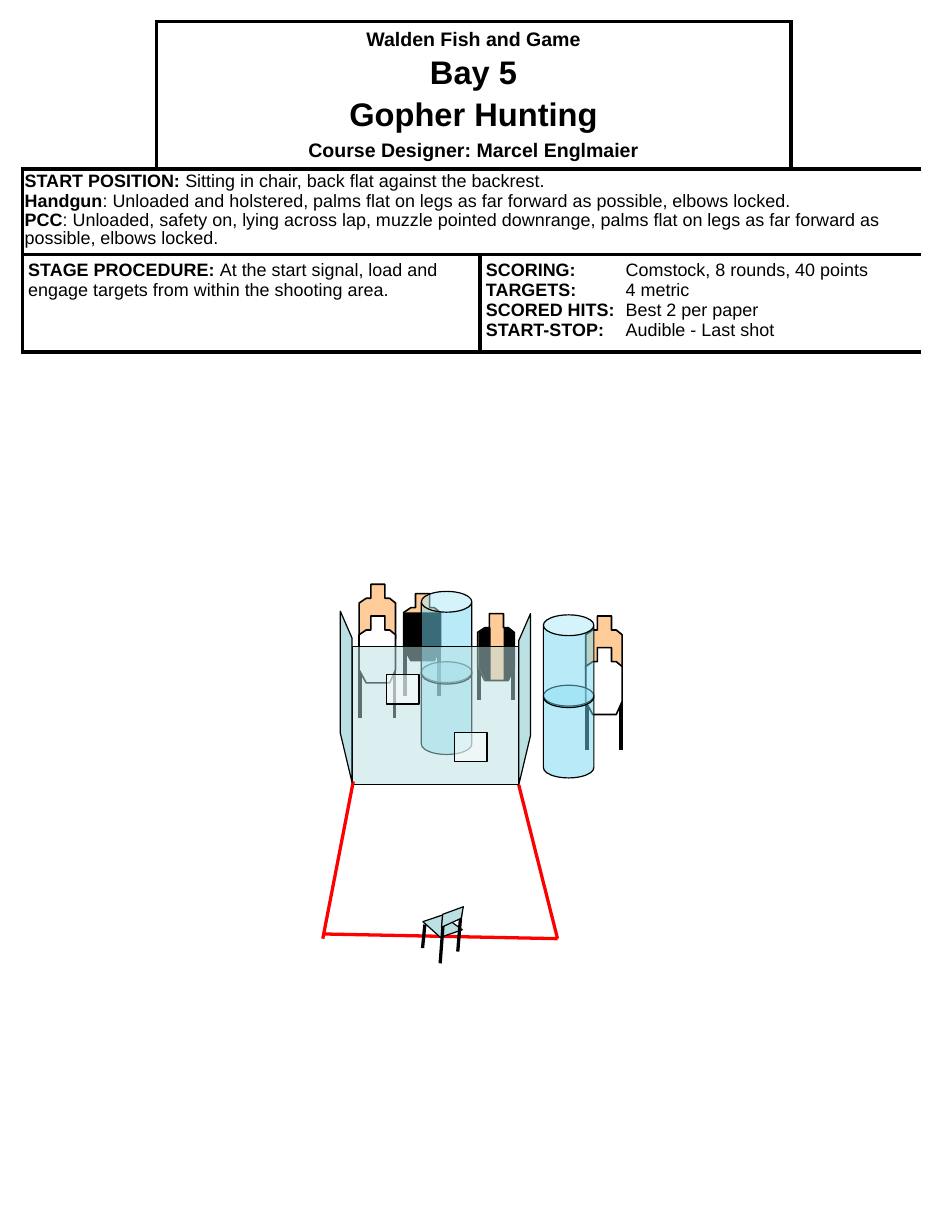
from pptx import Presentation
from pptx.dml.color import RGBColor
from pptx.enum.shapes import MSO_CONNECTOR as Connector, MSO_SHAPE as Preset
from pptx.enum.text import MSO_ANCHOR as Anchor, PP_ALIGN as Align
from pptx.oxml import parse_xml
from pptx.oxml.ns import nsdecls, qn
from pptx.util import Pt
from lxml.etree import SubElement

PX = 9144  # 100 px to the inch
FONT = "Arial"
BLACK, WHITE, RED = "000000", "FFFFFF", "FF0000"
TAN, BARREL, PANEL = "FFCC99", "73D9F1", "BBE0E3"
TARGET = [(10, 0), (22, 0), (22, 12), (26, 12), (31, 16), (31, 46),
          (26, 57), (6, 57), (0, 46), (0, 16), (6, 12), (10, 12)]


def color(value):
    return RGBColor.from_string(value)


def paint(shape, fill, line=0.75, alpha=None):
    shape.shadow.inherit = False
    shape.fill.solid()
    shape.fill.fore_color.rgb = color(fill)
    if alpha:
        clr = shape.fill._xPr.find(qn("a:solidFill"))[0]
        SubElement(clr, qn("a:alpha")).set("val", str(alpha * 1000))
    if line:
        shape.line.color.rgb = color(BLACK)
        shape.line.width = Pt(line)
    else:
        shape.line.fill.background()


def add_line(shapes, x1, y1, x2, y2, line_color=BLACK, width=2.0):
    line = shapes.add_connector(Connector.STRAIGHT, x1 * PX, y1 * PX, x2 * PX, y2 * PX)
    line.line.color.rgb = color(line_color)
    line.line.width = Pt(width)
    SubElement(line._element.spPr, qn("a:effectLst"))


def add_outline(shapes, left, top, points, fill, line=0.75, rotation=0):
    moved = [(left + x, top + y) for x, y in points]
    builder = shapes.build_freeform(*moved[0], scale=PX)
    builder.add_line_segments(moved[1:], close=True)
    shape = builder.convert_to_shape()
    shape.rotation = rotation
    paint(shape, fill, line)


def add_box(shapes, preset, left, top, width, height, fill):
    shape = shapes.add_shape(preset, left * PX, top * PX, width * PX, height * PX)
    paint(shape, fill, alpha=50)
    return shape


# Text and table cells
def write(cell, paragraphs, size=11, before=0, align=Align.LEFT, spacing=None, tab=None):
    """Each paragraph is a list of (text, bold) runs."""
    frame = cell.text_frame
    for index, runs in enumerate(paragraphs):
        paragraph = frame.paragraphs[0] if index == 0 else frame.add_paragraph()
        if tab:
            tabs = SubElement(paragraph._p.get_or_add_pPr(), qn("a:tabLst"))
            SubElement(tabs, qn("a:tab"), pos=str(tab * PX), algn="l")
        paragraph.alignment = align
        if spacing:
            paragraph.line_spacing = spacing
        if index and before:
            paragraph.space_before = Pt(before)
        paragraph.font.name = FONT
        paragraph.font.size = Pt(size)
        paragraph.font.color.rgb = color(BLACK)
        for text, bold in runs:
            run = paragraph.add_run()
            run.text = text
            run.font.bold = bold


def dress_cell(cell, sides, margin_x, margin_y):
    properties = cell._tc.get_or_add_tcPr()
    for side in sides:
        properties.append(parse_xml(
            f'<a:ln{side} {nsdecls("a")} w="28575"><a:solidFill><a:srgbClr val="{BLACK}"/>'
            f'</a:solidFill></a:ln{side}>'))
    cell.fill.solid()
    cell.fill.fore_color.rgb = color(WHITE)
    cell.margin_left = cell.margin_right = margin_x * PX
    cell.margin_top = cell.margin_bottom = margin_y * PX


def stage_table(slide, left, top):
    columns, rows = [114, 276, 265, 110], [126, 73, 83]
    frame = slide.shapes.add_table(3, 4, left * PX, top * PX, sum(columns) * PX, sum(rows) * PX)
    table = frame.table
    table.first_row = table.horz_banding = False
    for column, width in zip(table.columns, columns):
        column.width = width * PX
    for row, height in zip(table.rows, rows):
        row.height = height * PX

    # Row, first and last column, border sides, margins
    spans = [(0, 0, 0, "RB", 5, 5), (0, 1, 2, "LRTB", 5, 5), (0, 3, 3, "LB", 5, 5),
             (1, 0, 3, "LRTB", 2, 4), (2, 0, 1, "LRTB", 5, 5), (2, 2, 3, "LRTB", 5, 5)]
    for row, first, last, sides, margin_x, margin_y in spans:
        for column in range(first, last + 1):
            inner = ("L" if column > first else "") + ("R" if column < last else "")
            dress_cell(table.cell(row, column), [s for s in sides if s not in inner],
                       margin_x, margin_y)
        if last > first:
            table.cell(row, first).merge(table.cell(row, last))

    heading = table.cell(0, 1)
    heading.vertical_anchor = Anchor.MIDDLE
    titles = [("Walden Fish and Game", 12, 0), ("Bay 5", 20, 3),
              ("Gopher Hunting", 20, 3), ("Course Designer: Marcel Englmaier", 12, 4)]
    write(heading, [[(text, True)] for text, _, _ in titles], align=Align.CENTER)
    for paragraph, (_, size, before) in zip(heading.text_frame.paragraphs, titles):
        paragraph.font.size = Pt(size)
        if before:
            paragraph.space_before = Pt(before)

    write(table.cell(1, 0), [
        [("START POSITION: ", True), ("Sitting in chair, back flat against the backrest.", False)],
        [("Handgun", True), (": Unloaded and holstered, palms flat on legs as far forward as "
                             "possible, elbows locked.", False)],
        [("PCC", True), (": Unloaded, safety on, lying across lap, muzzle pointed downrange, palms "
                         "flat on legs as far forward as possible, elbows locked.", False)],
    ], before=0.7, spacing=0.9)
    write(table.cell(2, 0), [[
        ("STAGE PROCEDURE: ", True),
        ("At the start signal, load and engage targets from within the shooting area.", False)]])
    scoring = [("SCORING:", "Comstock, 8 rounds, 40 points"), ("TARGETS:", "4 metric"),
               ("SCORED HITS:", "Best 2 per paper"), ("START-STOP:", "Audible - Last shot")]
    write(table.cell(2, 2), [[(f"{label}\t", True), (value, False)] for label, value in scoring],
          tab=119)


# Stage props
def add_target(shapes, left, top, fill=TAN, leg_top=43):
    for x in (1, 30):
        add_line(shapes, left + x, top + leg_top, left + x, top + leg_top + 44, width=2.25)
    add_outline(shapes, left, top, TARGET, fill, 1)


def low_cover_target(slide, left, top):
    shapes = slide.shapes.add_group_shape().shapes
    add_target(shapes, left, top)
    cover = [(0, 16), (32, 16), (32, 46), (25, 57), (6, 57), (0, 46)]
    add_outline(shapes, left, top, cover, BLACK, 0)


def side_cover_target(slide, left, top):
    shapes = slide.shapes.add_group_shape().shapes
    add_target(shapes, left, top, leg_top=30)
    right_side = [(22, 12), (22, 57), (26, 57), (32, 46), (32, 16), (26, 12)]
    add_outline(shapes, left, top, right_side, BLACK, 0)
    add_outline(shapes, left, top, [(33 - x, y) for x, y in right_side], BLACK, 0)


def no_shoot_target(slide, left, top):
    shapes = slide.shapes.add_group_shape().shapes
    add_target(shapes, left, top)
    add_target(shapes, left, top + 27, WHITE)


def barrel_stack(slide, left, top):
    shapes = slide.shapes.add_group_shape().shapes
    for offset in (60, 0):
        add_box(shapes, Preset.CAN, left, top + offset, 43, 79, BARREL).adjustments[0] = 0.413


def front_wall(slide, left, top):
    shapes = slide.shapes.add_group_shape().shapes
    add_box(shapes, Preset.RECTANGLE, left, top, 142, 118, PANEL)
    for x, y in ((29, 24), (87, 73)):
        add_box(shapes, Preset.RECTANGLE, left + x, top + y, 28, 25, WHITE)


def chair(slide, left, top):
    shapes = slide.shapes.add_group_shape().shapes
    add_outline(shapes, left, top, [(0, 16), (16, 28), (34, 20), (16, 9)], PANEL, rotation=5)
    for x1, y1, x2, y2 in ((18, 10, 15, 50), (2, 17, 0, 37), (33, 3, 30, 40)):
        add_line(shapes, left + x1, top + y1, left + x2, top + y2)
    add_outline(shapes, left, top, [(17, 9), (34, 1), (33, 11), (17, 20)], PANEL, rotation=5)


def stage_layout(slide):
    low_cover_target(slide, 344, 506)
    side_cover_target(slide, 407, 523)
    barrel_stack(slide, 359, 504)
    no_shoot_target(slide, 306, 498)
    stage_table(slide, 19, 18)
    # Shooting area and front wall
    add_line(slide.shapes, 475, 800, 442, 669, RED)
    front_wall(slide, 300, 551)
    add_line(slide.shapes, 275, 800, 301, 666, RED)
    add_line(slide.shapes, 475, 800, 275, 796, RED)
    chair(slide, 360, 771)
    no_shoot_target(slide, 499, 525)
    barrel_stack(slide, 463, 524)
    # Side walls
    side_wall = [(0, 146), (0, 23), (10, 0), (10, 104)]
    add_outline(slide.shapes, 442, 523, side_wall, PANEL)
    add_outline(slide.shapes, 290, 521, [(10 - x, y) for x, y in side_wall], PANEL)


def main():
    presentation = Presentation()
    presentation.slide_width, presentation.slide_height = 800 * PX, 1050 * PX
    slide = presentation.slides.add_slide(presentation.slide_layouts[6])
    stage_layout(slide)
    presentation.save("out.pptx")


if __name__ == "__main__":
    main()
